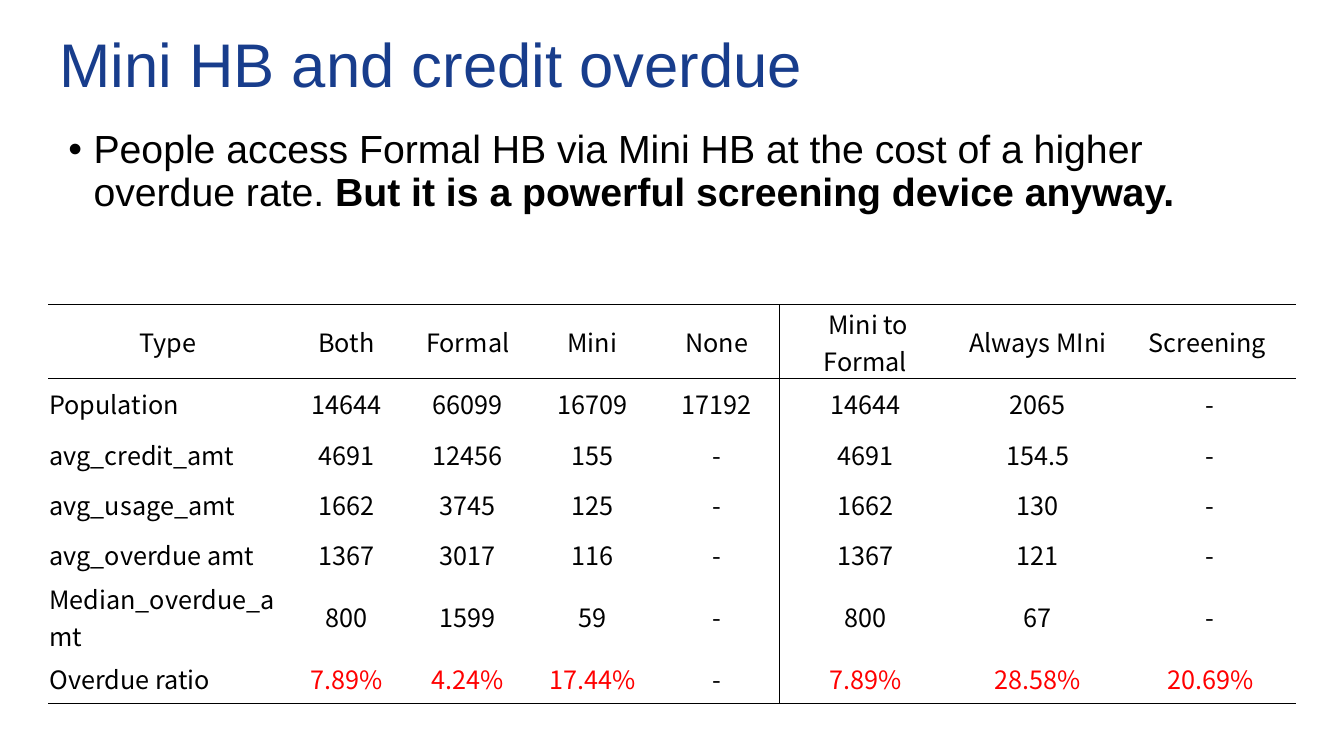
from lxml import etree
from pptx import Presentation
from pptx import util as u
from pptx.dml.color import RGBColor
from pptx.enum import text
from pptx.oxml import ns

# Content
TITLE = "Mini HB and credit overdue"
BULLET = [
    ("People access Formal HB via Mini HB at the cost of a higher overdue rate. ", False),
    ("But it is a powerful screening device anyway.", True),
]
ROWS = [
    ("Type", "Both", "Formal", "Mini", "None", " Mini to Formal", "Always MIni", "Screening "),
    ("Population", "14644", "66099", "16709", "17192", "14644", "2065", "-"),
    ("avg_credit_amt", "4691", "12456", "155", "-", "4691", "154.5", "-"),
    ("avg_usage_amt", "1662", "3745", "125", "-", "1662", "130", "-"),
    ("avg_overdue amt", "1367", "3017", "116", "-", "1367", "121", "-"),
    ("Median_overdue_amt", "800", "1599", "59", "-", "800", "67", "-"),
    ("Overdue ratio", "7.89%", "4.24%", "17.44%", "-", "7.89%", "28.58%", "20.69%"),
]
COLS = [2.37, 1.17, 1.24, 1.23, 1.24] + [1.71] * 3
ONE_LINE, TWO_LINES = 0.5, 0.73
HEIGHTS = [TWO_LINES] + [ONE_LINE] * 4 + [TWO_LINES, ONE_LINE]
DIVIDER = 5  # first column right of the vertical rule
BLACK, BLUE, RED = "000000", "183D8C", "FF0000"


def style(r, size, font, color, bold=False):
    r.font.size, r.font.name, r.font.bold = u.Pt(size), font, bold
    r.font.color.rgb = RGBColor.from_string(color)


def text_box(s, left, top, width, height, anchor):
    tf = s.shapes.add_textbox(*map(u.Inches, (left, top, width, height))).text_frame
    tf.word_wrap, tf.vertical_anchor = True, anchor
    p = tf.paragraphs[0]
    p.line_spacing = 0.9
    return p


def set_borders(cell, widths):
    """Write left, right, top and bottom lines; width 0 means no line."""
    tcPr = cell._tc.get_or_add_tcPr()
    for i, (side, width) in enumerate(zip("LRTB", widths)):
        ln = etree.Element(ns.qn("a:ln" + side), w=str(u.Pt(width)))
        if width:
            fill = etree.SubElement(ln, ns.qn("a:solidFill"))
            etree.SubElement(fill, ns.qn("a:srgbClr"), val=BLACK)
        else:
            etree.SubElement(ln, ns.qn("a:noFill"))
        tcPr.insert(i, ln)


prs = Presentation()
prs.slide_width, prs.slide_height = u.Inches(13.33), u.Inches(7.5)
s = prs.slides.add_slide(prs.slide_layouts[6])

# Title
p = text_box(s, 0.49, 0.21, 12.36, 0.93, text.MSO_ANCHOR.MIDDLE)
p.text = TITLE
style(p.runs[0], 44, "Arial", BLUE)

# Bullet
p = text_box(s, 0.58, 1.24, 12.36, 1.5, text.MSO_ANCHOR.TOP)
p.space_before = u.Pt(10)
pPr = p._p.get_or_add_pPr()
pPr.set("marL", str(u.Inches(0.25)))
pPr.set("indent", str(u.Inches(-0.25)))
etree.SubElement(pPr, ns.qn("a:buFont"), typeface="Arial")
etree.SubElement(pPr, ns.qn("a:buChar"), char="•")
for words, bold in BULLET:
    r = p.add_run()
    r.text = words
    style(r, 28, "Arial", BLACK, bold)

# Table
n = len(ROWS)
frame = s.shapes.add_table(n, len(COLS), u.Inches(0.48), u.Inches(3.02),
                           u.Inches(sum(COLS)), u.Inches(sum(HEIGHTS)))
table = frame.table
table.first_row = table.horz_banding = False
for col, width in zip(table.columns, COLS):
    col.width = u.Inches(width)
for i, (row, height) in enumerate(zip(ROWS, HEIGHTS)):
    table.rows[i].height = u.Inches(height)
    for j, value in enumerate(row):
        cell = table.cell(i, j)
        cell.fill.background()
        cell.vertical_anchor = text.MSO_ANCHOR.MIDDLE
        cell.margin_left = cell.margin_right = cell.margin_top = u.Inches(0.01)
        cell.margin_bottom = 0
        p = cell.text_frame.paragraphs[0]
        p.text = value
        p.alignment = text.PP_ALIGN.CENTER if i == 0 or j else text.PP_ALIGN.LEFT
        style(p.runs[0], 18, "Noto Sans CJK SC", RED if "%" in value else BLACK)
        set_borders(cell, (j == DIVIDER, j == DIVIDER - 1,
                           0.5 * (i < 2), 0.5 * (i in (0, n - 1))))

prs.save("out.pptx")
